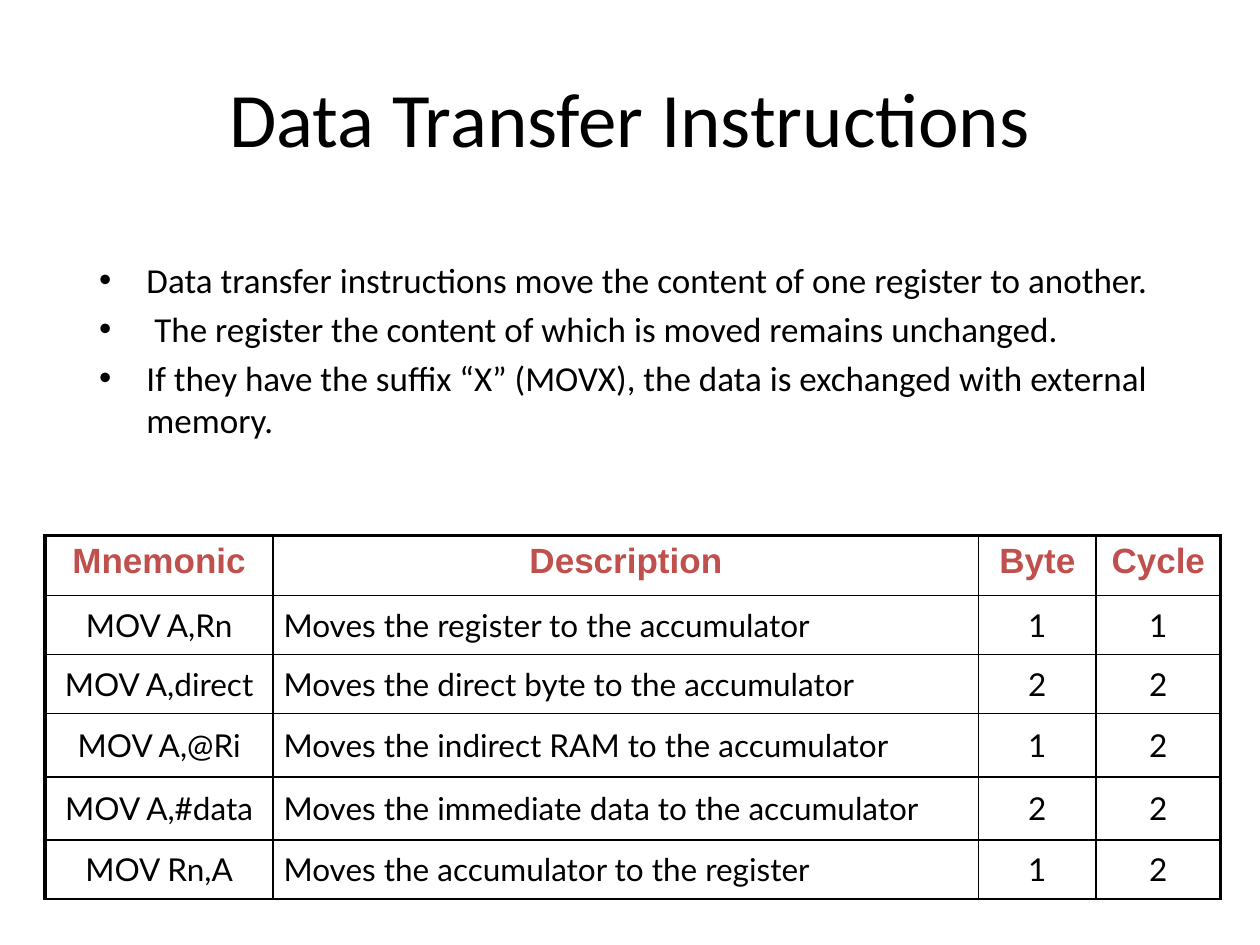
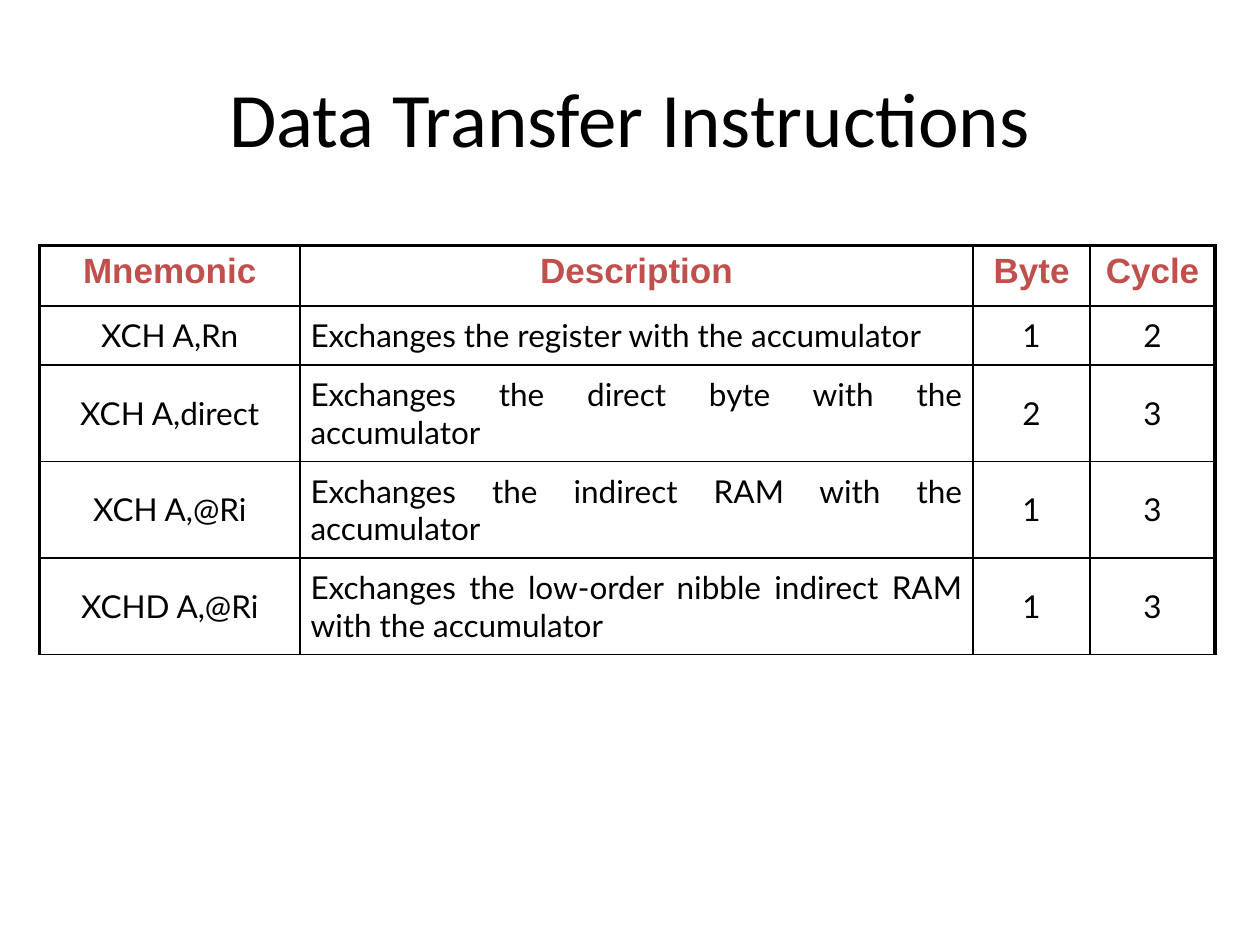
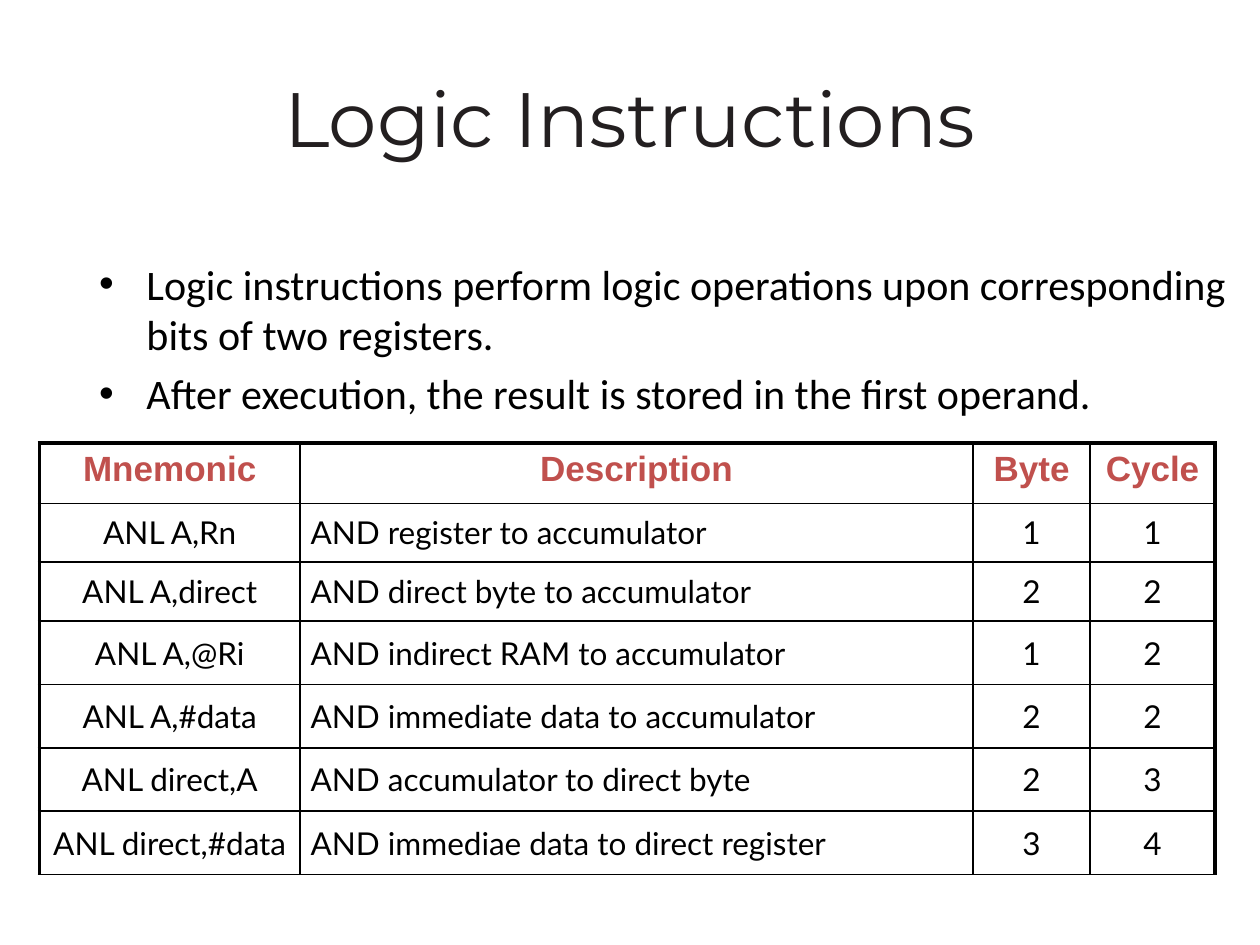
from dataclasses import dataclass

from lxml import etree
from pptx import Presentation
from pptx.dml.color import RGBColor
from pptx.enum.text import MSO_ANCHOR, MSO_AUTO_SIZE, PP_ALIGN
from pptx.oxml.ns import qn
from pptx.util import Pt

CENTER, JUSTIFY = PP_ALIGN.CENTER, PP_ALIGN.JUSTIFY
TOP, MIDDLE = MSO_ANCHOR.TOP, MSO_ANCHOR.MIDDLE
NO_FIT = MSO_AUTO_SIZE.NONE
TITLE_AND_BODY, TITLE_ONLY = 1, 5


@dataclass(frozen=True)
class Font:
    name: str
    size: float
    color: str = "000000"
    bold: bool = False


@dataclass(frozen=True)
class Theme:
    background: str = "FFFFFF"
    border: str = "000000"
    title: Font = Font("Calibri", 44)
    logic_title: Font = Font("Montserrat", 44, "231F20")
    body: Font = Font("Calibri", 20)
    large_body: Font = Font("Calibri", 24)
    header: Font = Font("Arial", 20, "C0504D", True)
    cell: Font = Font("Lato", 18)
    thin: float = 1
    thick: float = 2.25


HEADERS = ("Mnemonic", "Description", "Byte", "Cycle")
WIDE_DESCRIPTION = (130.3, 403.2, 67, 71.3)
WIDE_MNEMONIC = (149, 384.5, 67, 71.3)
HEADER_ROW, LOW_ROW, HIGH_ROW, TWO_LINE_ROW = 34.4, 33.7, 36.2, 55.1


class Deck:
    def __init__(self, theme):
        self.theme = theme
        self.prs = Presentation()
        self.prs.slide_width, self.prs.slide_height = Pt(720), Pt(540)
        self.s = None

    def add_slide(self, layout):
        self.s = self.prs.slides.add_slide(self.prs.slide_layouts[layout])
        fill = self.s.background.fill
        fill.solid()
        fill.fore_color.rgb = RGBColor.from_string(self.theme.background)

    def place(self, sp, left, top, width, height):
        sp.left, sp.top, sp.width, sp.height = map(Pt, (left, top, width, height))
        sp.text_frame.auto_size = NO_FIT
        return sp.text_frame

    def run(self, p, text, font):
        r = p.add_run()
        r.text = text
        r.font.name, r.font.size, r.font.bold = font.name, Pt(font.size), font.bold
        r.font.color.rgb = RGBColor.from_string(font.color)

    def title(self, text, font):
        tf = self.place(self.s.shapes.title, 36, 21.6, 648, 90)
        tf.vertical_anchor = MIDDLE
        p = tf.paragraphs[0]
        p.alignment = CENTER
        self.run(p, text, font)

    def bullets(self, items, font, width, height):
        tf = self.place(self.s.placeholders[1], 49.5, 144, width, height)
        for i, item in enumerate(items):
            p = tf.add_paragraph() if i else tf.paragraphs[0]
            p.space_before = Pt(0.2 * font.size if i else 0)
            self.run(p, item, font)

    def borders(self, cell, widths):
        """Draw the left, right, top and bottom lines, in that order."""
        tcPr = cell._tc.get_or_add_tcPr()
        for i, (side, width) in enumerate(zip("LRTB", widths)):
            ln = etree.Element(qn(f"a:ln{side}"), w=str(Pt(width)))
            fill = etree.SubElement(ln, qn("a:solidFill"))
            etree.SubElement(fill, qn("a:srgbClr"), val=self.theme.border)
            tcPr.insert(i, ln)

    def cell(self, cell, text, font, align, anchor, margin_x, margin_y):
        cell.fill.background()
        cell.vertical_anchor = anchor
        cell.margin_left = cell.margin_right = Pt(margin_x)
        cell.margin_top = cell.margin_bottom = Pt(margin_y)
        p = cell.text_frame.paragraphs[0]
        p.alignment = align
        self.run(p, text, font)

    def instruction_table(self, left, top, widths, heights, instructions):
        rows = [HEADERS, *instructions]
        heights = [HEADER_ROW, *heights]
        frame = self.s.shapes.add_table(len(rows), len(HEADERS), Pt(left), Pt(top),
                                        Pt(sum(widths)), Pt(sum(heights)))
        table = frame.table
        table.first_row = table.horz_banding = False
        for column, width in zip(table.columns, widths):
            column.width = Pt(width)
        for row, height in zip(table.rows, heights):
            row.height = Pt(height)
        thin, thick = self.theme.thin, self.theme.thick
        last = len(HEADERS) - 1
        for i, row in enumerate(rows):
            for j, text in enumerate(row):
                cell = table.cell(i, j)
                if i == 0:
                    self.cell(cell, text, self.theme.header, CENTER, TOP, 7.2, 3.6)
                else:
                    align = JUSTIFY if HEADERS[j] == "Description" else CENTER
                    self.cell(cell, text, self.theme.cell, align, MIDDLE, 6, 6)
                self.borders(cell, (thick if j == 0 else thin,
                                    thick if j == last else thin,
                                    thick if i == 0 else thin, thin))

    def save(self):
        self.prs.save("out.pptx")


def main():
    theme = Theme()
    deck = Deck(theme)

    deck.add_slide(TITLE_AND_BODY)
    deck.title("Data Transfer Instructions", theme.title)
    deck.bullets([
        "Data transfer instructions move the content of one register to another.",
        " The register the content of which is moved remains unchanged.",
        "If they have the suffix “X” (MOVX), the data is exchanged with external memory.",
    ], theme.body, 620.6, 121)
    deck.instruction_table(
        25.8, 306, WIDE_DESCRIPTION,
        [LOW_ROW] * 2 + [HIGH_ROW] * 2 + [LOW_ROW], [
            ("MOV A,Rn", "Moves the register to the accumulator", "1", "1"),
            ("MOV A,direct", "Moves the direct byte to the accumulator", "2", "2"),
            ("MOV A,@Ri", "Moves the indirect RAM to the accumulator", "1", "2"),
            ("MOV A,#data", "Moves the immediate data to the accumulator", "2", "2"),
            ("MOV Rn,A", "Moves the accumulator to the register", "1", "2"),
        ])

    deck.add_slide(TITLE_ONLY)
    deck.title("Data Transfer Instructions", theme.title)
    deck.instruction_table(
        22.5, 140.4, WIDE_MNEMONIC, [LOW_ROW] + [TWO_LINE_ROW] * 3, [
            ("XCH A,Rn", "Exchanges the register with the accumulator", "1", "2"),
            ("XCH A,direct", "Exchanges the direct byte with the accumulator", "2", "3"),
            ("XCH A,@Ri", "Exchanges the indirect RAM with the accumulator", "1", "3"),
            ("XCHD A,@Ri",
             "Exchanges the low-order nibble indirect RAM with the accumulator", "1", "3"),
        ])

    deck.add_slide(TITLE_AND_BODY)
    deck.title("Logic Instructions", theme.logic_title)
    deck.bullets([
        "Logic instructions perform logic operations upon corresponding bits of two registers.",
        "After execution, the result is stored in the first operand.",
    ], theme.large_body, 663, 97.2)
    deck.instruction_table(
        22.5, 253.2, WIDE_MNEMONIC, [LOW_ROW] * 2 + [HIGH_ROW] * 4, [
            ("ANL A,Rn", "AND register to accumulator", "1", "1"),
            ("ANL A,direct", "AND direct byte to accumulator", "2", "2"),
            ("ANL A,@Ri", "AND indirect RAM to accumulator", "1", "2"),
            ("ANL A,#data", "AND immediate data to accumulator", "2", "2"),
            ("ANL direct,A", "AND accumulator to direct byte", "2", "3"),
            ("ANL direct,#data", "AND immediae data to direct register", "3", "4"),
        ])

    deck.save()


if __name__ == "__main__":
    main()
